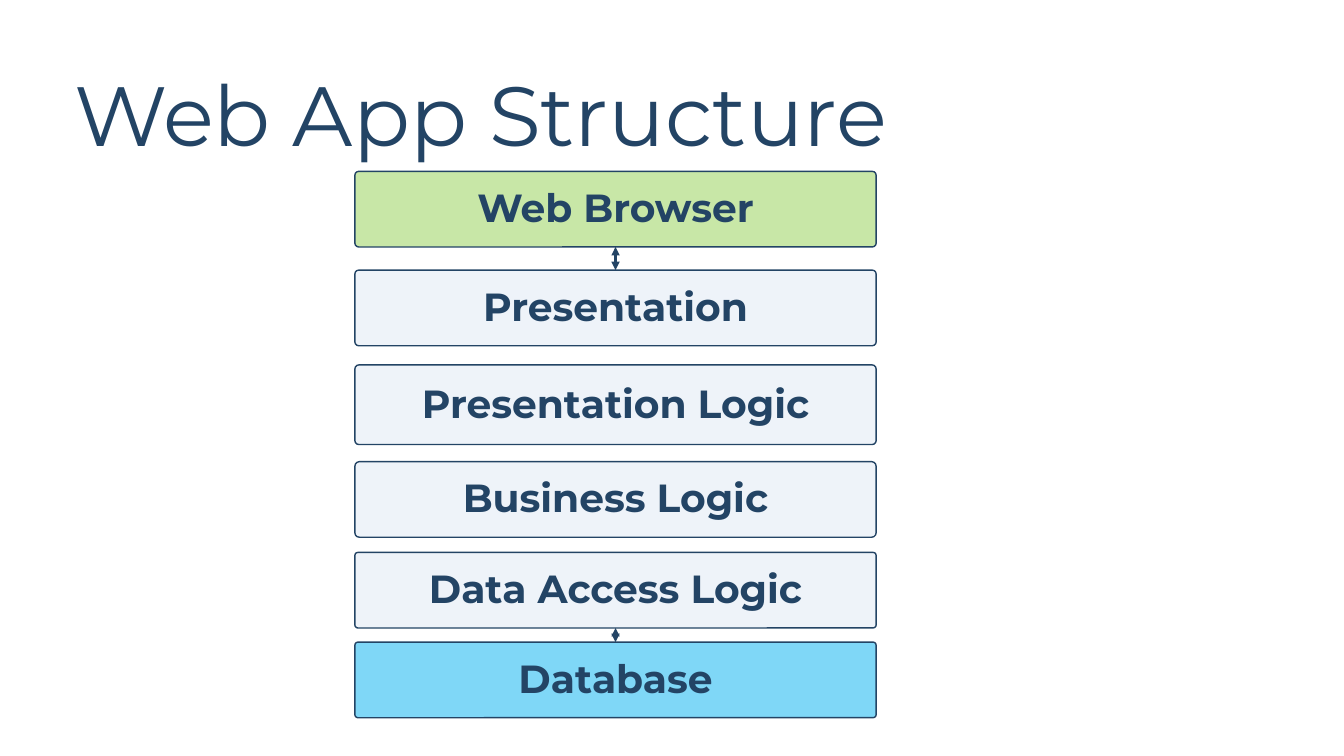
from lxml.etree import SubElement
from pptx import Presentation
from pptx.dml.color import RGBColor
from pptx.enum.shapes import MSO_CONNECTOR, MSO_SHAPE
from pptx.enum.text import MSO_ANCHOR, PP_ALIGN
from pptx.oxml.ns import qn
from pptx.util import Emu, Pt

PX = 9144  # 100 px to the inch
NAVY = "234465"
PALE, GREEN, CYAN = ("C7DAEC", 30), ("92D050", 50), ("00B0F0", 50)
LAYER_LEFT, LAYER_WIDTH, LAYER_HEIGHT = 352, 517, 75

# Label, top, height, (colour, opacity in percent), corner ratio
LAYERS = [
    ("Web Browser", 170, LAYER_HEIGHT, GREEN, 0.05),
    ("Presentation", 268, LAYER_HEIGHT, PALE, 0.05),
    ("Presentation Logic", 362, 79, PALE, 0.05),
    ("Business Logic", 458, LAYER_HEIGHT, PALE, 0.06),
    ("Data Access Logic", 548, LAYER_HEIGHT, PALE, 0.04),
    ("Database", 637, LAYER_HEIGHT, CYAN, 0.04),
]
LINKS = [("Web Browser", "Presentation"), ("Data Access Logic", "Database")]


def px(*lengths):
    return [Emu(length * PX) for length in lengths]


def paint(color_format, hex_color):
    color_format.rgb = RGBColor.from_string(hex_color)


def write(shape, text, *, size, bold=False, align=PP_ALIGN.LEFT, spacing=1.0):
    frame = shape.text_frame
    frame.word_wrap = True
    frame.vertical_anchor = MSO_ANCHOR.MIDDLE
    paragraph = frame.paragraphs[0]
    paragraph.alignment = align
    paragraph.line_spacing = spacing
    run = paragraph.add_run()
    run.text = text
    run.font.name = "Montserrat"
    run.font.size = Pt(size)
    run.font.bold = bold
    paint(run.font.color, NAVY)


def add_title(slide, text):
    title = slide.shapes.add_textbox(*px(64, 66, 1268, 104))
    write(title, text, size=60, spacing=0.9)


def add_layer(slide, label, top, height, tint, corner):
    layer = slide.shapes.add_shape(
        MSO_SHAPE.ROUNDED_RECTANGLE, *px(LAYER_LEFT, top, LAYER_WIDTH, height))
    layer.adjustments[0] = corner
    layer.shadow.inherit = False

    # Translucent fill
    color, opacity = tint
    layer.fill.solid()
    paint(layer.fill.fore_color, color)
    color_node = layer.fill._xPr.find(qn("a:solidFill"))[0]
    SubElement(color_node, qn("a:alpha"), val=str(opacity * 1000))

    # Outline and label
    paint(layer.line.color, NAVY)
    layer.line.width = Pt(1)
    write(layer, label, size=28, bold=True, align=PP_ALIGN.CENTER, spacing=0.95)
    return layer


def add_link(slide, upper, lower):
    link = slide.shapes.add_connector(MSO_CONNECTOR.STRAIGHT, 0, 0, 0, 0)
    link.begin_connect(upper, 2)
    link.end_connect(lower, 0)
    paint(link.line.color, NAVY)
    link.line.width = Pt(2)

    # Arrowheads at both ends, no shadow
    outline = link.line._get_or_add_ln()
    for end in ("a:headEnd", "a:tailEnd"):
        SubElement(outline, qn(end), type="triangle")
    SubElement(outline.getparent(), qn("a:effectLst"))


def main():
    deck = Presentation()
    deck.slide_width, deck.slide_height = px(1333, 750)
    slide = deck.slides.add_slide(deck.slide_layouts[6])

    add_title(slide, "Web App Structure")

    # Application layers from the browser down to the database
    layers = {}
    for label, *details in LAYERS:
        layers[label] = add_layer(slide, label, *details)

    # Two-way links to the outer layers
    for upper, lower in LINKS:
        add_link(slide, layers[upper], layers[lower])

    deck.save("out.pptx")


if __name__ == "__main__":
    main()
